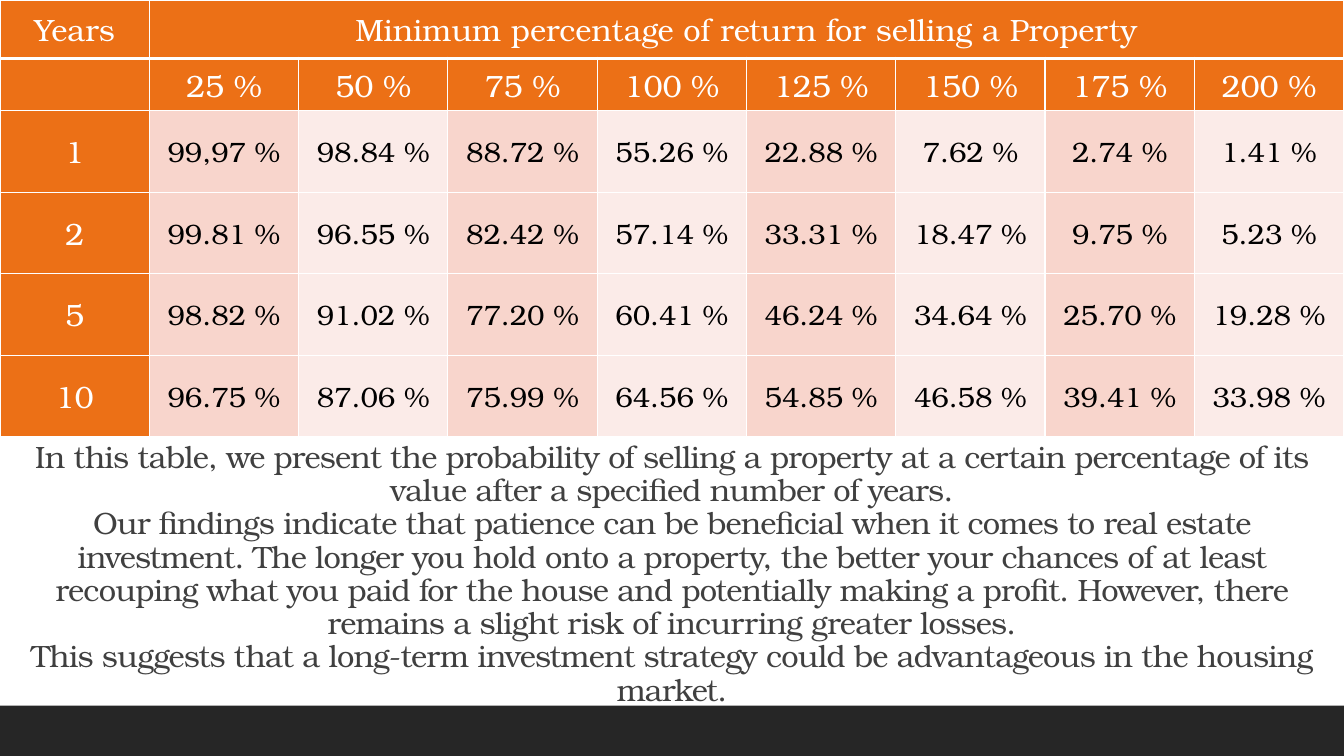
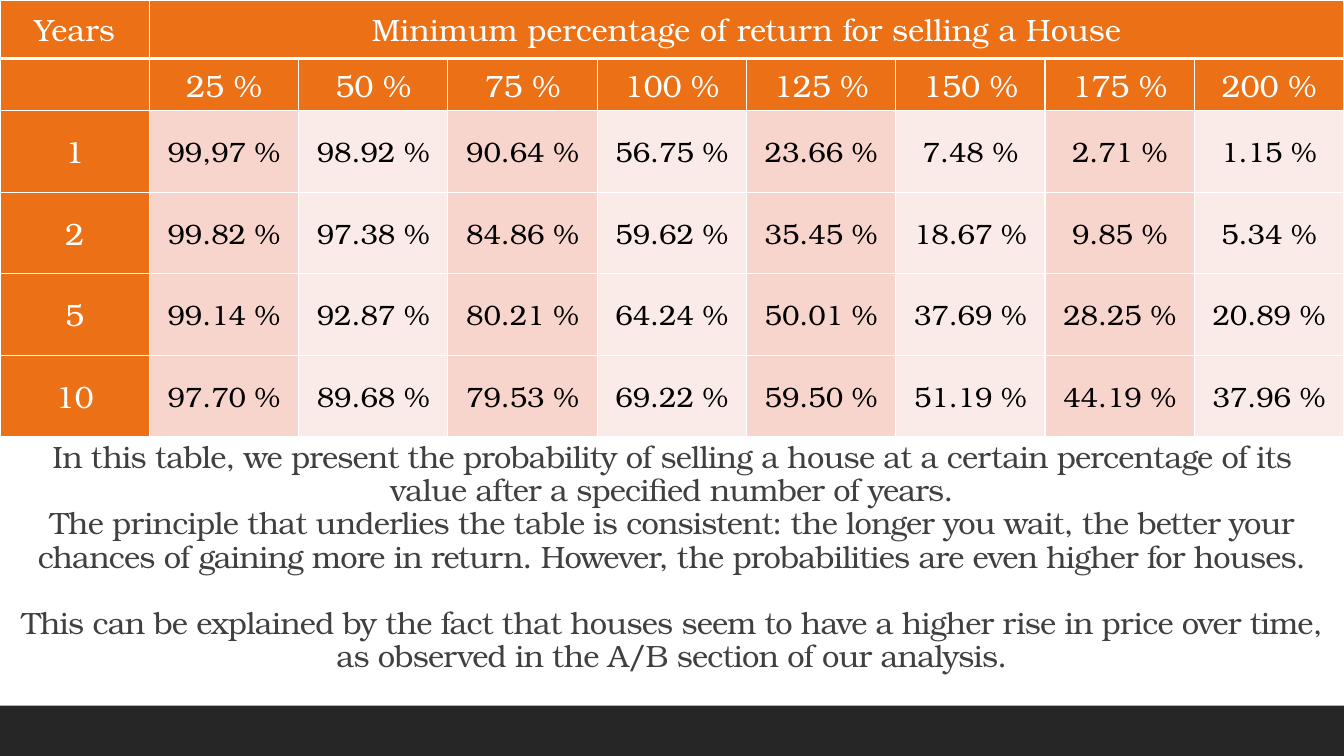
from lxml.etree import SubElement
from pptx import Presentation
from pptx.dml.color import RGBColor
from pptx.enum.shapes import MSO_SHAPE as Shape
from pptx.enum.text import MSO_ANCHOR as Anchor, MSO_AUTO_SIZE as AutoSize, PP_ALIGN as Align
from pptx.oxml.ns import qn
from pptx.util import Pt

COLORS = {
    "header": "EC7016",
    "odd": "F8D5CC",
    "even": "FBEBE8",
    "white": "FFFFFF",
    "value": "000000",
    "body": "404040",
    "band": "262626",
}
FONT = "TeX Gyre Bonum"
WIDTH, HEIGHT = 960, 540
TABLE_HEIGHT, BAND_TOP = 312, 504
ROW_HEIGHTS = [41.8, 37.4] + [58.2] * 4
RETURNS = [f"{percent} %" for percent in range(25, 201, 25)]
YEARS = ["1", "2", "5", "10"]

SLIDES = [
    {
        "asset": "Property",
        "chances": [
            "99,97 98.84 88.72 55.26 22.88 7.62 2.74 1.41",
            "99.81 96.55 82.42 57.14 33.31 18.47 9.75 5.23",
            "98.82 91.02 77.20 60.41 46.24 34.64 25.70 19.28",
            "96.75 87.06 75.99 64.56 54.85 46.58 39.41 33.98",
        ],
        "findings": [
            ("In this table, we present the probability of selling a property at a certain "
             "percentage of its value after a specified number of years.", 0),
            ("Our findings indicate that patience can be beneficial when it comes to real estate "
             "investment. The longer you hold onto a property, the better your chances of at least "
             "recouping what you paid for the house and potentially making a profit. However, "
             "there remains a slight risk of incurring greater losses.", 0),
            ("This suggests that a long-term investment strategy could be advantageous in the "
             "housing market.", 0),
        ],
    },
    {
        "asset": "House",
        "chances": [
            "99,97 98.92 90.64 56.75 23.66 7.48 2.71 1.15",
            "99.82 97.38 84.86 59.62 35.45 18.67 9.85 5.34",
            "99.14 92.87 80.21 64.24 50.01 37.69 28.25 20.89",
            "97.70 89.68 79.53 69.22 59.50 51.19 44.19 37.96",
        ],
        "findings": [
            ("In this table, we present the probability of selling a house at a certain "
             "percentage of its value after a specified number of years.", 0),
            ("The principle that underlies the table is consistent: the longer you wait, the "
             "better your chances of gaining more in return. However, the probabilities are even "
             "higher for houses.", 0),
            ("This can be explained by the fact that houses seem to have a higher rise in price "
             "over time, as observed in the A/B section of our analysis.", 23.7),
        ],
    },
]


def write(paragraph, text, size, color):
    paragraph.alignment = Align.CENTER
    run = paragraph.add_run()
    run.text = text
    run.font.name = FONT
    run.font.size = Pt(size)
    run.font.bold = False
    run.font.color.rgb = RGBColor.from_string(COLORS[color])
    return run


def style_cell(cell, fill, top, bottom):
    properties = cell._tc.get_or_add_tcPr()
    for side, width in (("lnL", 1), ("lnR", 1), ("lnT", top), ("lnB", bottom)):
        border = SubElement(properties, qn(f"a:{side}"), w=str(Pt(width)))
        SubElement(SubElement(border, qn("a:solidFill")), qn("a:srgbClr"), val=COLORS["white"])
    cell.fill.solid()
    cell.fill.fore_color.rgb = RGBColor.from_string(COLORS[fill])
    cell.vertical_anchor = Anchor.MIDDLE


deck = Presentation()
deck.slide_width, deck.slide_height = Pt(WIDTH), Pt(HEIGHT)
layout = deck.slide_layouts[5]

for number, content in enumerate(SLIDES):
    slide = deck.slides.add_slide(layout)

    if number == 0:
        band = slide.shapes.add_shape(
            Shape.RECTANGLE, 0, Pt(BAND_TOP), Pt(WIDTH), Pt(HEIGHT - BAND_TOP))
        band.shadow.inherit = False
        band.fill.solid()
        band.fill.fore_color.rgb = RGBColor.from_string(COLORS["band"])
        band.line.fill.background()
        layout.shapes.element.insert(2, band.element)

    title = slide.shapes.title
    title.left, title.top = 0, Pt(TABLE_HEIGHT)
    title.width, title.height = Pt(WIDTH), Pt(BAND_TOP - TABLE_HEIGHT)
    frame = title.text_frame
    frame.word_wrap = True
    frame.auto_size = AutoSize.NONE
    frame.vertical_anchor = Anchor.TOP
    for index, (finding, gap) in enumerate(content["findings"]):
        paragraph = frame.add_paragraph() if index else frame.paragraphs[0]
        paragraph.line_spacing = 0.9
        paragraph.space_before = Pt(gap)
        run = write(paragraph, finding, 22, "body")
        run._r.get_or_add_rPr().set("spc", "-50")

    rows = [["Years", f"Minimum percentage of return for selling a {content['asset']}"] + [""] * 7,
            [""] + RETURNS]
    for year, chances in zip(YEARS, content["chances"]):
        rows.append([year] + [f"{chance} %" for chance in chances.split()])

    table = slide.shapes.add_table(
        len(rows), len(rows[0]), 0, 0, Pt(WIDTH), Pt(TABLE_HEIGHT)).table
    table.horz_banding = False
    for column in table.columns:
        column.width = Pt(WIDTH / len(rows[0]))
    for r, texts in enumerate(rows):
        table.rows[r].height = Pt(ROW_HEIGHTS[r])
        for c, text in enumerate(texts):
            cell = table.cell(r, c)
            is_header = r < 2 or c == 0
            fill = "header" if is_header else "odd" if c % 2 else "even"
            style_cell(cell, fill, 3 if r == 1 else 1, 3 if r == 0 else 1)
            if text:
                size, color = (22, "white") if is_header else (20, "value")
                write(cell.text_frame.paragraphs[0], text, size, color)
    table.cell(0, 1).merge(table.cell(0, 8))

deck.save("out.pptx")
